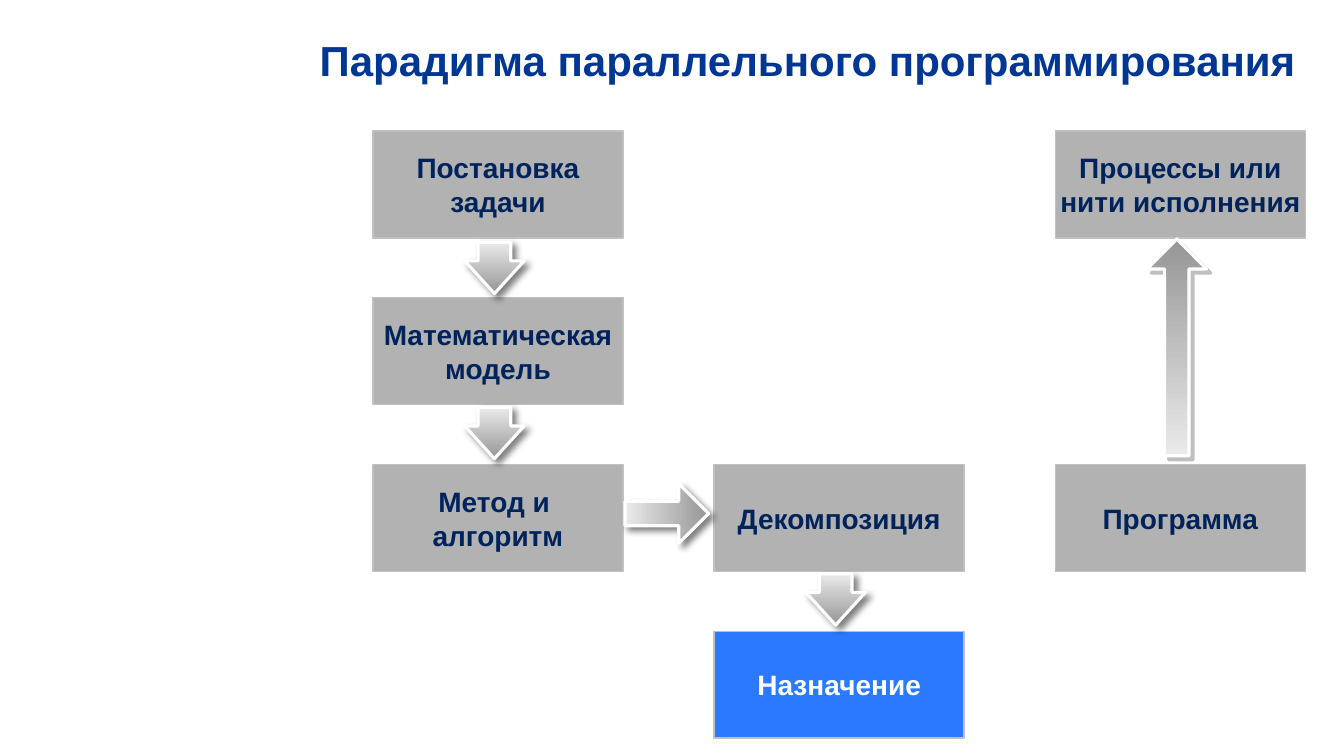
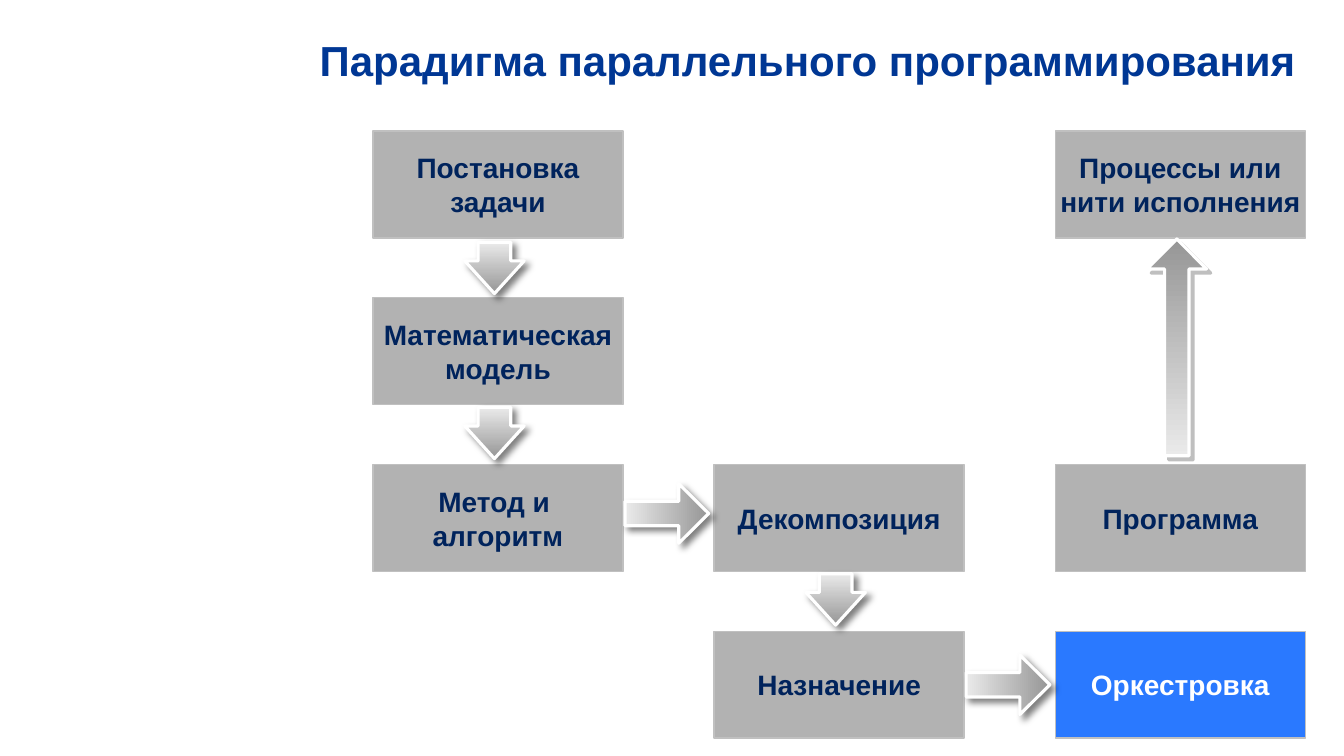
from pptx import Presentation
from pptx.dml.color import RGBColor
from pptx.enum.shapes import MSO_SHAPE as Shape
from pptx.enum.text import MSO_ANCHOR as Anchor, PP_ALIGN as Align
from pptx.oxml import parse_xml
from pptx.oxml.ns import nsdecls, qn
from pptx.util import Pt

COLORS = {
    "title": "003794",
    "box": "B2B2B2",
    "border": "C0C0C0",
    "text": "00235C",
    "active": "2A79FF",
    "white": "FFFFFF",
    "light": "EAEAEA",
    "dark": "969696",
    "shadow": "000000",
    "flat_shadow": "808080",
}

LEFT, TOP = 266.4, 93.6
STEP_X, STEP_Y = 243.7, 119.1
BOX_W, BOX_H = 178.6, 76.4

ARROWS = {
    "right": (Shape.RIGHT_ARROW, 59.8, 42.5, (0.411, 0.504), 0),
    "down": (Shape.DOWN_ARROW, 42.5, 36.7, (0.55, 0.636), 270),
    "up": (Shape.UP_ARROW, 42.5, 154.8, (0.411, 0.504), 90),
}


def rgb(name):
    return RGBColor.from_string(COLORS[name])


class FlowDeck:
    font = "Arial"

    def __init__(self):
        self.deck = Presentation()
        self.deck.slide_width, self.deck.slide_height = Pt(960), Pt(540)
        self.slide = None

    def new_slide(self, heading):
        self.slide = self.deck.slides.add_slide(self.deck.slide_layouts[6])
        title = self.slide.shapes.add_textbox(Pt(33.8), Pt(0), Pt(892.1), Pt(85.7))
        self.set_text(title.text_frame, heading, 30, "title", Align.RIGHT)

    def set_text(self, frame, text, size, color, align):
        frame.text = text
        frame.word_wrap = True
        frame.vertical_anchor = Anchor.MIDDLE
        frame.margin_left = frame.margin_right = 0
        frame.margin_top = frame.margin_bottom = 0
        for paragraph in frame.paragraphs:
            paragraph.alignment = align
            for run in paragraph.runs:
                run.font.name = self.font
                run.font.size = Pt(size)
                run.font.bold = True
                run.font.color.rgb = rgb(color)

    def box(self, text, col, row, active=False):
        stage = self.slide.shapes.add_shape(
            Shape.RECTANGLE, Pt(LEFT + col * STEP_X), Pt(TOP + row * STEP_Y),
            Pt(BOX_W), Pt(BOX_H))
        stage.shadow.inherit = False
        stage.fill.solid()
        stage.fill.fore_color.rgb = rgb("active" if active else "box")
        stage.line.color.rgb = rgb("border")
        stage.line.width = Pt(1)
        self.set_text(stage.text_frame, text, 20, "white" if active else "text",
                      Align.CENTER)

    def arrow(self, direction, start, end, nudge):
        preset, width, height, adjustments, angle = ARROWS[direction]
        center_x = LEFT + (start[0] + end[0]) / 2 * STEP_X + BOX_W / 2 + nudge[0]
        center_y = TOP + (start[1] + end[1]) / 2 * STEP_Y + BOX_H / 2 + nudge[1]
        arrow = self.slide.shapes.add_shape(
            preset, Pt(center_x - width / 2), Pt(center_y - height / 2),
            Pt(width), Pt(height))
        for index, value in enumerate(adjustments):
            arrow.adjustments[index] = value
        arrow.fill.gradient()
        arrow.fill.gradient_angle = angle
        for stop, color in zip(arrow.fill.gradient_stops, ("light", "dark")):
            stop.color.rgb = rgb(color)
        arrow.line.color.rgb = rgb("white")
        arrow.line.width = Pt(2.25)
        if direction == "up":
            self.cast_shadow(arrow, "flat_shadow", 0)
        else:
            self.cast_shadow(arrow, "shadow", 5)

    def cast_shadow(self, shape, color, blur):
        shape.shadow.inherit = False
        effects = shape._element.spPr.find(qn("a:effectLst"))
        effects.append(parse_xml(
            f'<a:outerShdw {nsdecls("a")} blurRad="{Pt(blur)}" dist="{Pt(4.2)}" '
            f'dir="2700000" algn="ctr" rotWithShape="0">'
            f'<a:srgbClr val="{COLORS[color]}"><a:alpha val="50000"/></a:srgbClr>'
            f'</a:outerShdw>'))


HEADING = "Парадигма параллельного программирования"
STAGES = {
    "Постановка задачи": (0, 0),
    "Математическая модель": (0, 1),
    "Метод и \nалгоритм": (0, 2),
    "Декомпозиция": (1, 2),
    "Программа": (2, 2),
    "Процессы или нити исполнения": (2, 0),
    "Назначение": (1, 3),
}
FLOWS = [
    ("up", (2, 2), (2, 0), (-2.5, -2.8)),
    ("down", (1, 2), (1, 3), (-2.5, -1.4)),
    ("right", (0, 2), (1, 2), (-1.2, -3.2)),
    ("down", (0, 1), (0, 2), (-2.5, -1.2)),
    ("down", (0, 0), (0, 1), (-2.5, 0)),
]
ORCHESTRATION = {"Оркестровка": (2, 3)}
TO_ORCHESTRATION = ("right", (1, 3), (2, 3), (-1.2, 0))


def main():
    flow = FlowDeck()
    for stages, arrows, active in (
        (STAGES, FLOWS, "Назначение"),
        (STAGES | ORCHESTRATION, FLOWS + [TO_ORCHESTRATION], "Оркестровка"),
    ):
        flow.new_slide(HEADING)
        for text, (col, row) in stages.items():
            flow.box(text, col, row, text == active)
        for arrow in arrows:
            flow.arrow(*arrow)
    flow.deck.save("out.pptx")


if __name__ == "__main__":
    main()
